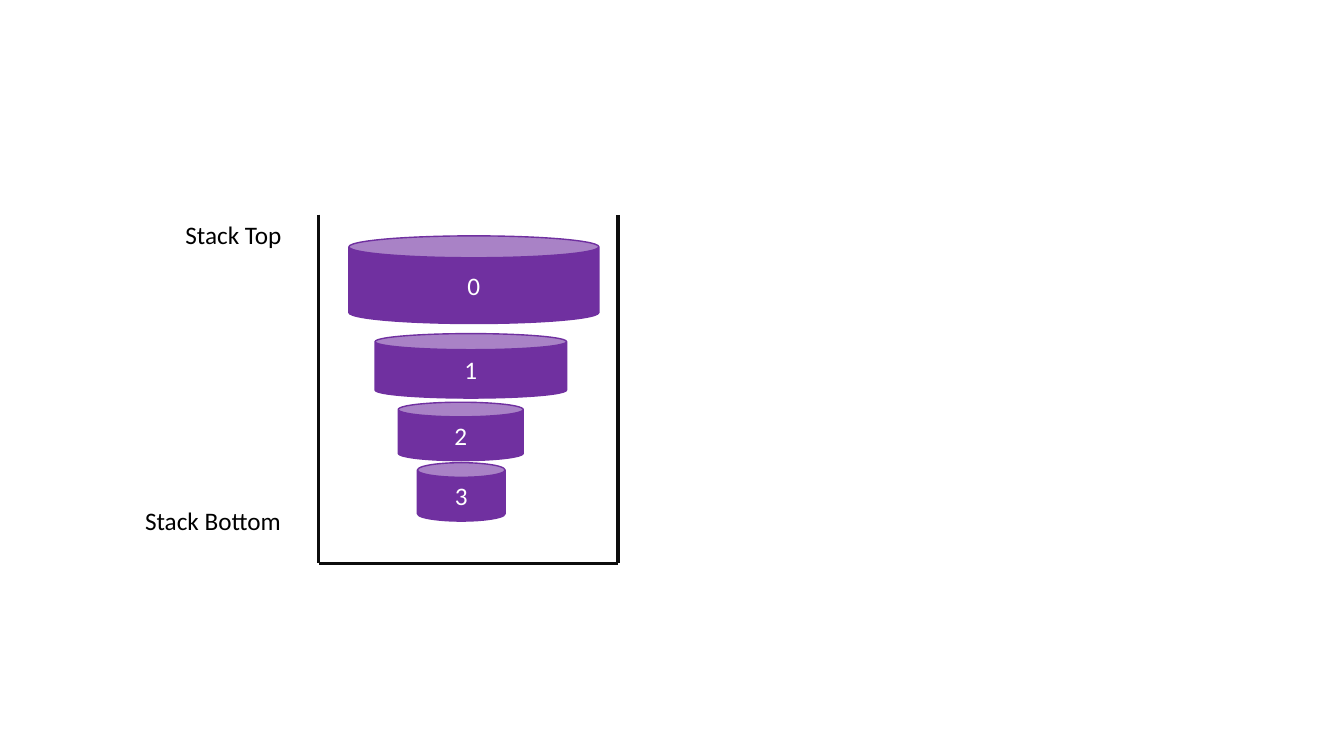
from lxml import etree
from pptx import Presentation
from pptx.dml.color import RGBColor
from pptx.enum.shapes import MSO_CONNECTOR, MSO_SHAPE
from pptx.enum.text import MSO_ANCHOR, MSO_AUTO_SIZE, PP_ALIGN
from pptx.oxml.ns import qn
from pptx.util import Inches, Pt

LINE = MSO_CONNECTOR.STRAIGHT
CAN = MSO_SHAPE.CAN
MIDDLE = MSO_ANCHOR.MIDDLE
CENTER, LEFT = PP_ALIGN.CENTER, PP_ALIGN.LEFT
GROW = MSO_AUTO_SIZE.SHAPE_TO_FIT_TEXT

FONT = "Calibri"
PURPLE, WHITE, BLACK, WALL = "7030A0", "FFFFFF", "000000", "0D0D0D"
DISCS = [
    ("0", 0.30, 0.21, 2.48, 0.87),
    ("1", 0.56, 1.18, 1.90, 0.64),
    ("2", 0.79, 1.86, 1.24, 0.58),
    ("3", 0.98, 2.46, 0.87, 0.58),
]
LABELS = [("Stack Top", 0, 1.17), ("Stack Bottom", 2.83, 1.57)]


def color(value):
    return RGBColor.from_string(value)


def write(tf, text, value, align):
    p = tf.paragraphs[0]
    p.alignment = align
    r = p.add_run()
    r.text = text
    r.font.name = FONT
    r.font.size = Pt(18)
    r.font.color.rgb = color(value)


def add_container(s, x, y, w, h):
    corners = [(x, y), (x, y + h), (x + w, y + h), (x + w, y)]
    group = s.shapes.add_group_shape()
    for start, end in zip(corners, corners[1:]):
        wall = group.shapes.add_connector(LINE, *map(Inches, start + end))
        wall.line.color.rgb = color(WALL)
        wall.line.width = Pt(2.5)
        etree.SubElement(wall._element.spPr, qn("a:effectLst"))


def add_discs(s, x, y):
    for text, dx, dy, w, h in DISCS:
        sp = s.shapes.add_shape(CAN, *map(Inches, (x + dx, y + dy, w, h)))
        sp.shadow.inherit = False
        sp.fill.solid()
        sp.fill.fore_color.rgb = color(PURPLE)
        sp.line.color.rgb = color(PURPLE)
        sp.line.width = Pt(1)
        sp.text_frame.vertical_anchor = MIDDLE
        write(sp.text_frame, text, WHITE, CENTER)


def add_labels(s, right, y):
    for text, dy, w in LABELS:
        sp = s.shapes.add_textbox(*map(Inches, (right - w, y + dy, w, 0.4)))
        tf = sp.text_frame
        tf.word_wrap = False
        tf.auto_size = GROW
        write(tf, text, BLACK, LEFT)


def add_stack(s, x, y, w, h):
    add_discs(s, x, y)
    add_container(s, x, y, w, h)
    add_labels(s, x - 0.25, y)


def main():
    prs = Presentation()
    prs.slide_width, prs.slide_height = Inches(13.33), Inches(7.5)
    s = prs.slides.add_slide(prs.slide_layouts[6])
    add_stack(s, 3.16, 2.13, 2.97, 3.46)
    prs.save("out.pptx")


if __name__ == "__main__":
    main()
